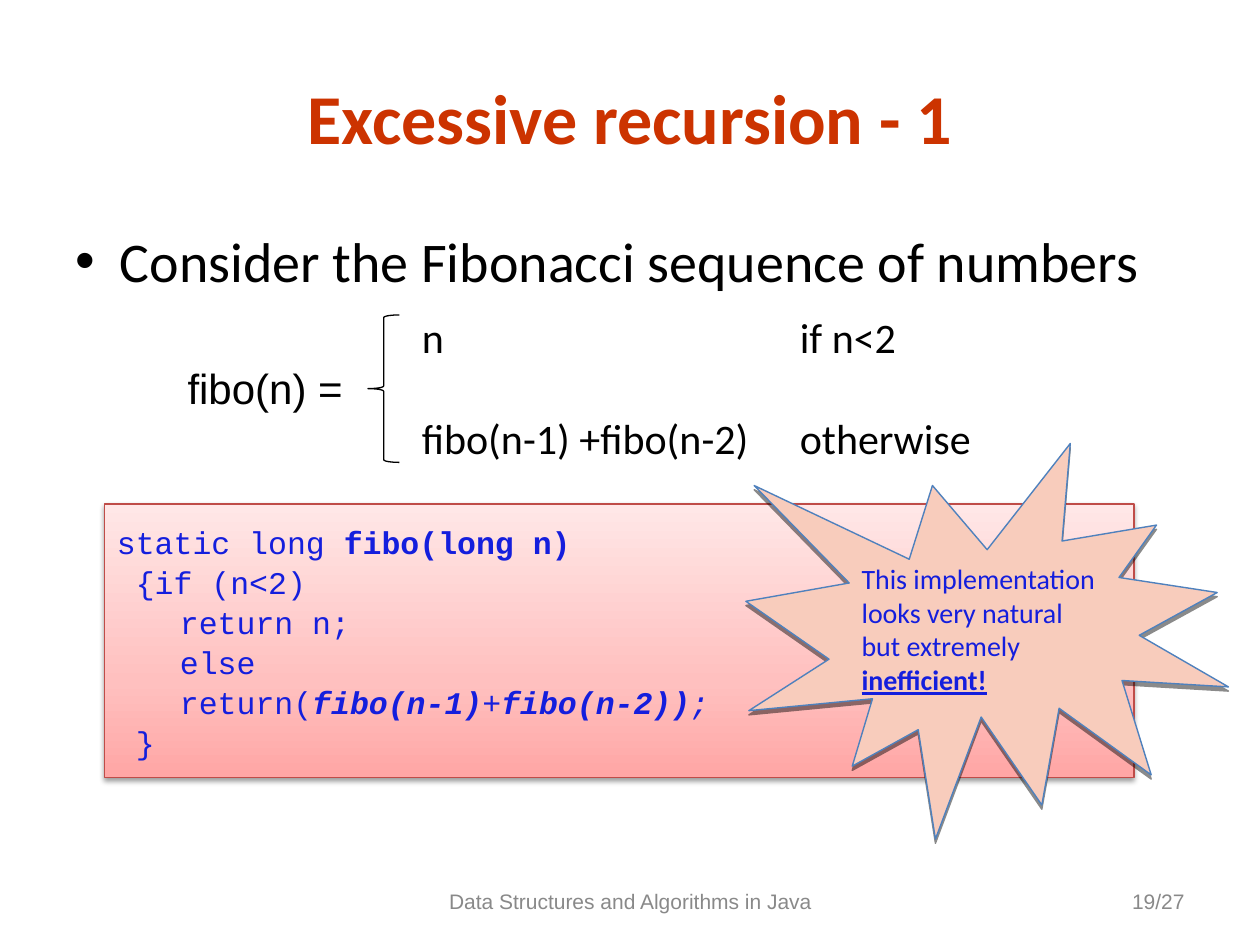
import pptx
import pptx.dml.color
import pptx.enum.shapes
import pptx.enum.text
import pptx.oxml
import pptx.oxml.ns
import pptx.util
from dataclasses import dataclass

Inches, Pt = pptx.util.Inches, pptx.util.Pt
Align = pptx.enum.text.PP_ALIGN
Anchor = pptx.enum.text.MSO_ANCHOR
Shape = pptx.enum.shapes.MSO_SHAPE


@dataclass(frozen=True)
class Theme:
    body_font: str = "Calibri"
    plain_font: str = "Arial"
    code_font: str = "Courier New"
    title_size: int = 40
    list_size: int = 32
    formula_size: int = 24
    code_size: int = 18
    note_size: int = 16
    footer_size: int = 12
    heading: str = "CC3300"
    text: str = "000000"
    accent: str = "141EDD"
    footer: str = "898989"
    panel_line: str = "BF4C48"
    panel_stops: tuple = ((0, "FFA6A5"), (35, "FFC0BF"), (100, "FFE7E7"))
    burst: str = "F8CCBC"
    burst_line: str = "4F81BD"


THEME = Theme()

TITLE = "Excessive recursion - 1"
BULLET = "Consider the Fibonacci sequence of numbers"
FORMULA_NAME = "fibo(n) ="
CASES = [("n", "if n<2"), ("fibo(n-1) +fibo(n-2)", "otherwise")]
# Each code line: indent in inches, then (text, style) spans; b = bold, i = italic
CODE = [
    (0, [("static long ", ""), ("fibo(long n)", "b")]),
    (0, [(" {if (n<2)", "")]),
    (0.5, [("return n;", "")]),
    (0.5, [("else", "")]),
    (0.5, [("return(", ""), ("fibo(n-1)", "bi"), ("+", "i"),
           ("fibo(n-2))", "bi"), (";", "i")]),
    (0, [(" }", "")]),
]
NOTE = [(0, [("This implementation looks very natural but extremely ", ""),
             ("inefficient!", "bu")])]
# Text, left, width, alignment
FOOTERS = [
    ("Data Structures and Algorithms in Java", 3.17, 3.67, Align.CENTER),
    ("19/27", 7.17, 2.33, Align.RIGHT),
]


def rgb(value):
    return pptx.dml.color.RGBColor.from_string(value)


def style(font, name, size, color, flags=""):
    font.name, font.size = name, Pt(size)
    font.color.rgb = rgb(color)
    font.bold, font.italic = "b" in flags, "i" in flags
    font.underline = "u" in flags


def make_xml(markup):
    return pptx.oxml.parse_xml(
        markup.replace(">", f" {pptx.oxml.ns.nsdecls('a')}>", 1))


def place(shape, left, top, width, height):
    shape.left, shape.top = Inches(left), Inches(top)
    shape.width, shape.height = Inches(width), Inches(height)


def set_indent(para, left, hanging=0):
    properties = para._p.get_or_add_pPr()
    properties.set("marL", str(Inches(left)))
    properties.set("indent", str(-Inches(hanging)))


def fill_placeholder(shape, text, area, size, color, flags=""):
    place(shape, *area)
    frame = shape.text_frame
    frame.text = text
    frame.auto_size = pptx.enum.text.MSO_AUTO_SIZE.NONE
    para = frame.paragraphs[0]
    para.space_before = Pt(0)
    style(para.runs[0].font, THEME.body_font, size, color, flags)
    return para


def add_text(page, area, text, font, size, color, align=Align.LEFT, anchor=Anchor.TOP):
    box = page.shapes.add_textbox(*map(Inches, area))
    frame = box.text_frame
    frame.word_wrap = True
    frame.vertical_anchor = anchor
    frame.text = text
    for para in frame.paragraphs:
        para.alignment = align
        style(para.runs[0].font, font, size, color)
    return frame


def add_outline(page, kind, area, line, weight=0.75):
    shape = page.shapes.add_shape(kind, *map(Inches, area))
    shape.shadow.inherit = False
    shape.fill.background()
    shape.line.color.rgb = rgb(line)
    shape.line.width = Pt(weight)
    return shape


def add_shadow(shape, opacity, blur, distance):
    effects = shape._element.spPr.find(pptx.oxml.ns.qn("a:effectLst"))
    effects.append(make_xml(
        f'<a:outerShdw blurRad="{Pt(blur)}" dist="{Pt(distance)}" dir="5400000"'
        f' rotWithShape="0"><a:srgbClr val="000000">'
        f'<a:alpha val="{opacity * 1000}"/></a:srgbClr></a:outerShdw>'))


def fill_gradient(shape, stops):
    """Run the stops from the bottom of the shape to its top."""
    marks = "".join(f'<a:gs pos="{position * 1000}"><a:srgbClr val="{color}"/></a:gs>'
                    for position, color in stops)
    old = shape._element.spPr.find(pptx.oxml.ns.qn("a:noFill"))
    old.getparent().replace(old, make_xml(
        f'<a:gradFill rotWithShape="1"><a:gsLst>{marks}</a:gsLst>'
        '<a:lin ang="16200000" scaled="1"/></a:gradFill>'))


def write_spans(shape, lines, font, size, spacing=1.0):
    frame = shape.text_frame
    frame.word_wrap = True
    frame.vertical_anchor = Anchor.MIDDLE
    for index, (indent, spans) in enumerate(lines):
        para = frame.add_paragraph() if index else frame.paragraphs[0]
        para.alignment = Align.LEFT
        para.line_spacing = spacing
        set_indent(para, indent)
        for text, flags in spans:
            span = para.add_run()
            span.text = text
            style(span.font, font, size, THEME.accent, flags)


def add_formula(page):
    add_outline(page, Shape.LEFT_BRACE, (2.92, 2.5, 0.25, 1.17), THEME.text)
    add_text(page, (1.39, 2.83, 1.5, 0.5), FORMULA_NAME,
             THEME.plain_font, THEME.formula_size, THEME.text)
    frame = add_text(page, (3.25, 2.42, 4.63, 1.3),
                     "\n".join("\t".join(case) for case in CASES),
                     THEME.body_font, THEME.formula_size, THEME.text)
    for para in frame.paragraphs:
        para._p.get_or_add_pPr().append(make_xml(
            f'<a:tabLst><a:tab pos="{Inches(3)}" algn="l"/></a:tabLst>'))
    frame.paragraphs[1].space_before = Pt(29.3)


def main():
    deck = pptx.Presentation()
    deck.slide_width, deck.slide_height = Inches(10), Inches(7.5)
    page = deck.slides.add_slide(deck.slide_layouts[1])

    fill_placeholder(page.shapes.title, TITLE, (0.5, 0.54, 9, 0.77),
                     THEME.title_size, THEME.heading, "b")
    item = fill_placeholder(page.placeholders[1], BULLET, (0.5, 1.75, 9, 0.63),
                            THEME.list_size, THEME.text)
    set_indent(item, 0.35, hanging=0.35)

    for text, left, width, align in FOOTERS:
        add_text(page, (left, 6.95, width, 0.4), text, THEME.plain_font,
                 THEME.footer_size, THEME.footer, align, Anchor.MIDDLE)
    add_formula(page)

    panel = add_outline(page, Shape.RECTANGLE, (0.83, 4, 8.17, 2.17), THEME.panel_line)
    fill_gradient(panel, THEME.panel_stops)
    add_shadow(panel, opacity=38, blur=3.1, distance=1.6)
    write_spans(panel, CODE, THEME.code_font, THEME.code_size, spacing=1.06)

    burst = add_outline(page, Shape.EXPLOSION1, (5.92, 3.52, 3.83, 3.14),
                        THEME.burst_line, 0.79)
    burst.fill.solid()
    burst.fill.fore_color.rgb = rgb(THEME.burst)
    add_shadow(burst, opacity=45, blur=0, distance=2.4)
    write_spans(burst, NOTE, THEME.body_font, THEME.note_size)

    deck.save("out.pptx")


if __name__ == "__main__":
    main()
